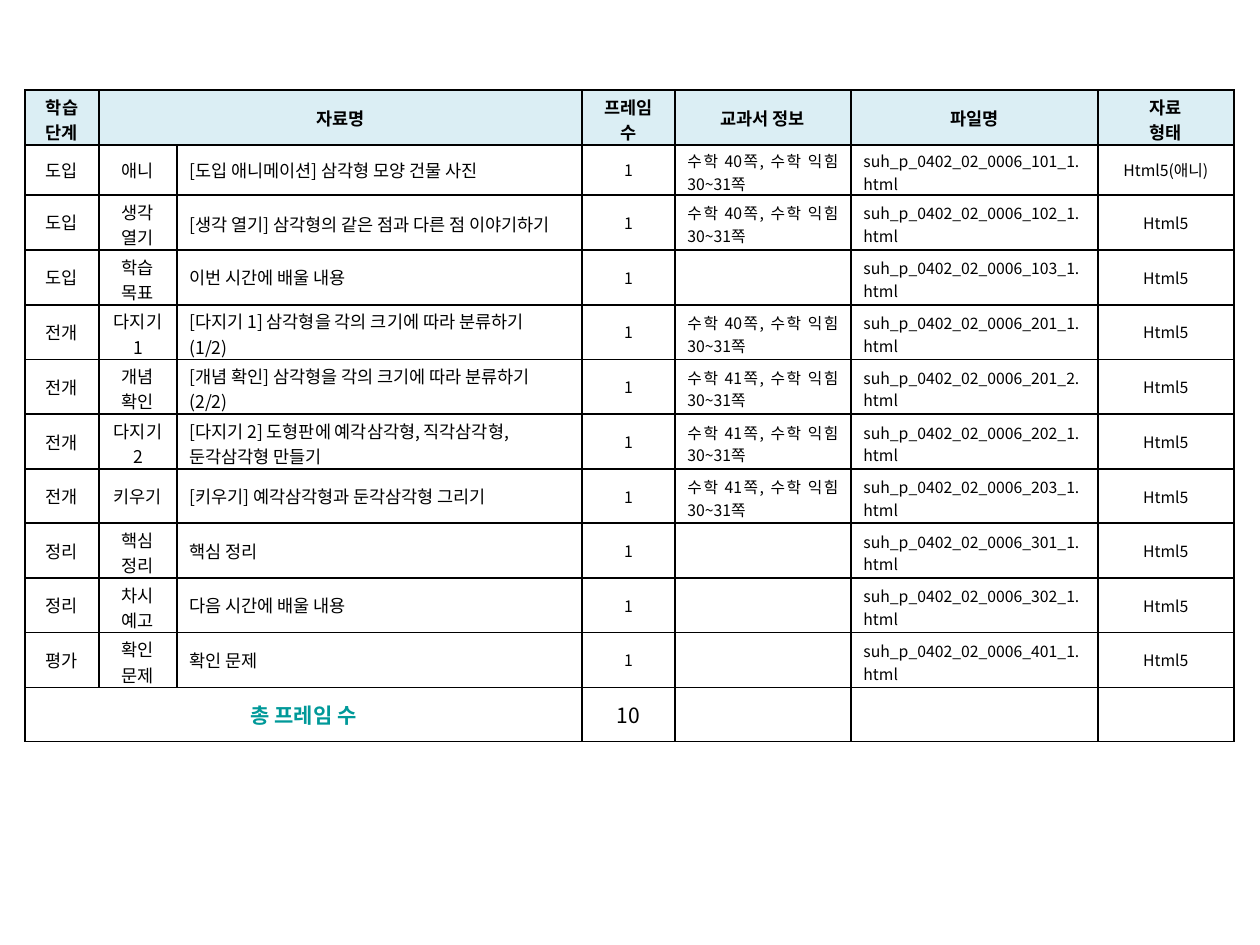
from dataclasses import dataclass

from lxml import etree
from pptx import Presentation
from pptx import util as u
from pptx.dml.color import RGBColor
from pptx.enum import text
from pptx.oxml import ns

PX = u.Inches(1) / 126


@dataclass(frozen=True)
class Theme:
    font: str = "Noto Sans CJK KR"
    ink: str = "000000"
    accent: str = "009999"
    header_fill: str = "DBEEF4"
    total_size: int = 12
    label_size: int = 10
    detail_size: int = 9
    border: int = 1


THEME = Theme()
CENTER = text.PP_ALIGN.CENTER
LEFT = text.PP_ALIGN.LEFT
JUSTIFY = text.PP_ALIGN.JUSTIFY

COLUMN_WIDTHS = [74, 78, 405, 93, 176, 247, 136]
ROW_HEIGHTS = [55, 50, 55, 55, 54, 55, 55, 54, 55, 54, 55, 54]
LINE_CAPACITIES = [4, 4, 25, 4, 12, 25, 12]
TITLE_COLUMN = 2
TITLE_RIGHT_INSET = 22
COLUMN_STYLES = [
    (CENTER, THEME.label_size),
    (CENTER, THEME.label_size),
    (LEFT, THEME.label_size),
    (CENTER, THEME.detail_size),
    (JUSTIFY, THEME.detail_size),
    (JUSTIFY, THEME.detail_size),
    (CENTER, THEME.detail_size),
]
HEADINGS = ["학습 단계", "자료명", "", "프레임 수", "교과서 정보", "파일명", "자료\n형태"]
PAGE_40 = "수학 40쪽, 수학 익힘 30~31쪽"
PAGE_41 = "수학 41쪽, 수학 익힘 30~31쪽"
LESSONS = [
    ("도입", "애니", "[도입 애니메이션] 삼각형 모양 건물 사진", PAGE_40, "101_1", "Html5(애니)"),
    ("도입", "생각 열기", "[생각 열기] 삼각형의 같은 점과 다른 점 이야기하기", PAGE_40, "102_1", "Html5"),
    ("도입", "학습 목표", "이번 시간에 배울 내용", "", "103_1", "Html5"),
    ("전개", "다지기 1", "[다지기 1] 삼각형을 각의 크기에 따라 분류하기(1/2)", PAGE_40, "201_1", "Html5"),
    ("전개", "개념 확인", "[개념 확인] 삼각형을 각의 크기에 따라 분류하기(2/2)", PAGE_41, "201_2", "Html5"),
    ("전개", "다지기 2", "[다지기 2] 도형판에 예각삼각형, 직각삼각형, 둔각삼각형 만들기", PAGE_41, "202_1", "Html5"),
    ("전개", "키우기", "[키우기] 예각삼각형과 둔각삼각형 그리기", PAGE_41, "203_1", "Html5"),
    ("정리", "핵심 정리", "핵심 정리", "", "301_1", "Html5"),
    ("정리", "차시 예고", "다음 시간에 배울 내용", "", "302_1", "Html5"),
    ("평가", "확인 문제", "확인 문제", "", "401_1", "Html5"),
]


def px(length):
    return u.Emu(round(length * PX))


def draw_borders(cell):
    properties = cell._tc.get_or_add_tcPr()
    for side in ("lnL", "lnR", "lnT", "lnB"):
        line = etree.SubElement(properties, ns.qn(f"a:{side}"), w=str(u.Pt(THEME.border)))
        solid = etree.SubElement(line, ns.qn("a:solidFill"))
        etree.SubElement(solid, ns.qn("a:srgbClr"), val=THEME.ink)


def fits_one_line(wording, column):
    return "\n" not in wording and len(wording) <= LINE_CAPACITIES[column]


def fill_cell(cell, wording, align, size, color=THEME.ink, bold=False, fill=None,
              single_line=True):
    draw_borders(cell)
    if fill:
        cell.fill.solid()
        cell.fill.fore_color.rgb = RGBColor.from_string(fill)
    else:
        cell.fill.background()
    cell.vertical_anchor = text.MSO_ANCHOR.MIDDLE
    if not single_line:
        cell.margin_top, cell.margin_bottom = px(4), 0
    cell.text_frame.text = wording
    for paragraph in cell.text_frame.paragraphs:
        paragraph.alignment = align
        if not paragraph.runs:
            etree.SubElement(paragraph._p, ns.qn("a:endParaRPr"), sz=str(size * 100))
        for run in paragraph.runs:
            run.font.name = THEME.font
            run.font.size = u.Pt(size)
            run.font.bold = bold
            run.font.color.rgb = RGBColor.from_string(color)
            run.font._element.set("kern", "0")
            etree.SubElement(run.font._element, ns.qn("a:ea"), typeface=THEME.font)


def add_lesson_table(slide, left, top, width, height):
    frame = slide.shapes.add_table(
        len(ROW_HEIGHTS), len(COLUMN_WIDTHS), px(left), px(top), px(width), px(height)
    )
    lessons = frame.table
    lessons.first_row = False
    lessons.horz_banding = False
    for column, column_width in zip(lessons.columns, COLUMN_WIDTHS):
        column.width = px(column_width)
    for row, row_height in zip(lessons.rows, ROW_HEIGHTS):
        row.height = px(row_height)

    for column, heading in enumerate(HEADINGS):
        fill_cell(lessons.cell(0, column), heading, CENTER, THEME.label_size,
                  bold=True, fill=THEME.header_fill,
                  single_line=fits_one_line(heading, column))
    lessons.cell(0, 1).merge(lessons.cell(0, 2))

    for row, (stage, step, title, pages, code, form) in enumerate(LESSONS, 1):
        entries = [stage, step, title, "1", pages, f"suh_p_0402_02_0006_{code}.html", form]
        for column, (entry, (align, size)) in enumerate(zip(entries, COLUMN_STYLES)):
            fill_cell(lessons.cell(row, column), entry, align, size,
                      single_line=fits_one_line(entry, column))
        lessons.cell(row, TITLE_COLUMN).margin_right = px(TITLE_RIGHT_INSET)

    total_row = len(LESSONS) + 1
    totals = ["총 프레임 수", "", "", str(len(LESSONS)), "", "", ""]
    for column, total in enumerate(totals):
        is_label = column == 0
        fill_cell(lessons.cell(total_row, column), total, CENTER, THEME.total_size,
                  color=THEME.accent if is_label else THEME.ink, bold=is_label)
    lessons.cell(total_row, 0).merge(lessons.cell(total_row, 2))


def main():
    deck = Presentation()
    deck.slide_width = px(1260)
    deck.slide_height = px(945)
    slide = deck.slides.add_slide(deck.slide_layouts[6])
    add_lesson_table(slide, 25, 90, sum(COLUMN_WIDTHS), sum(ROW_HEIGHTS))
    deck.save("out.pptx")


if __name__ == "__main__":
    main()
